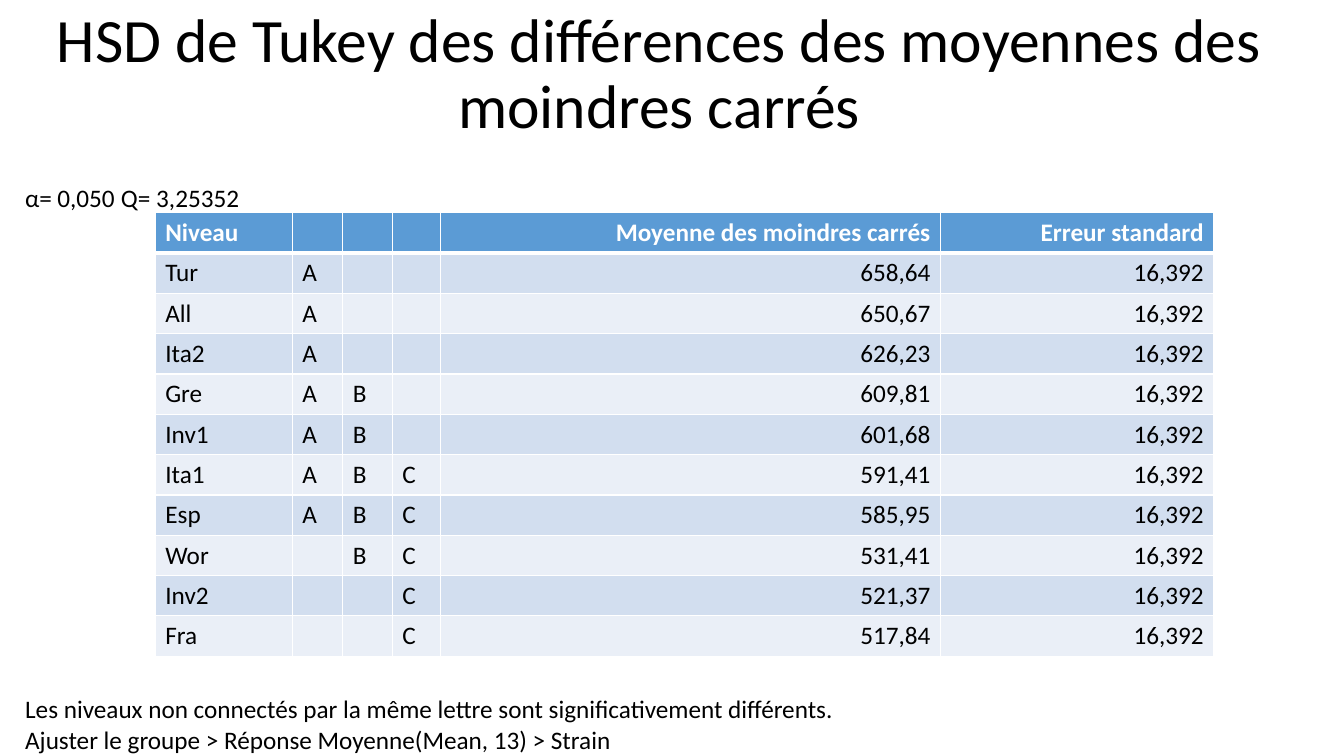
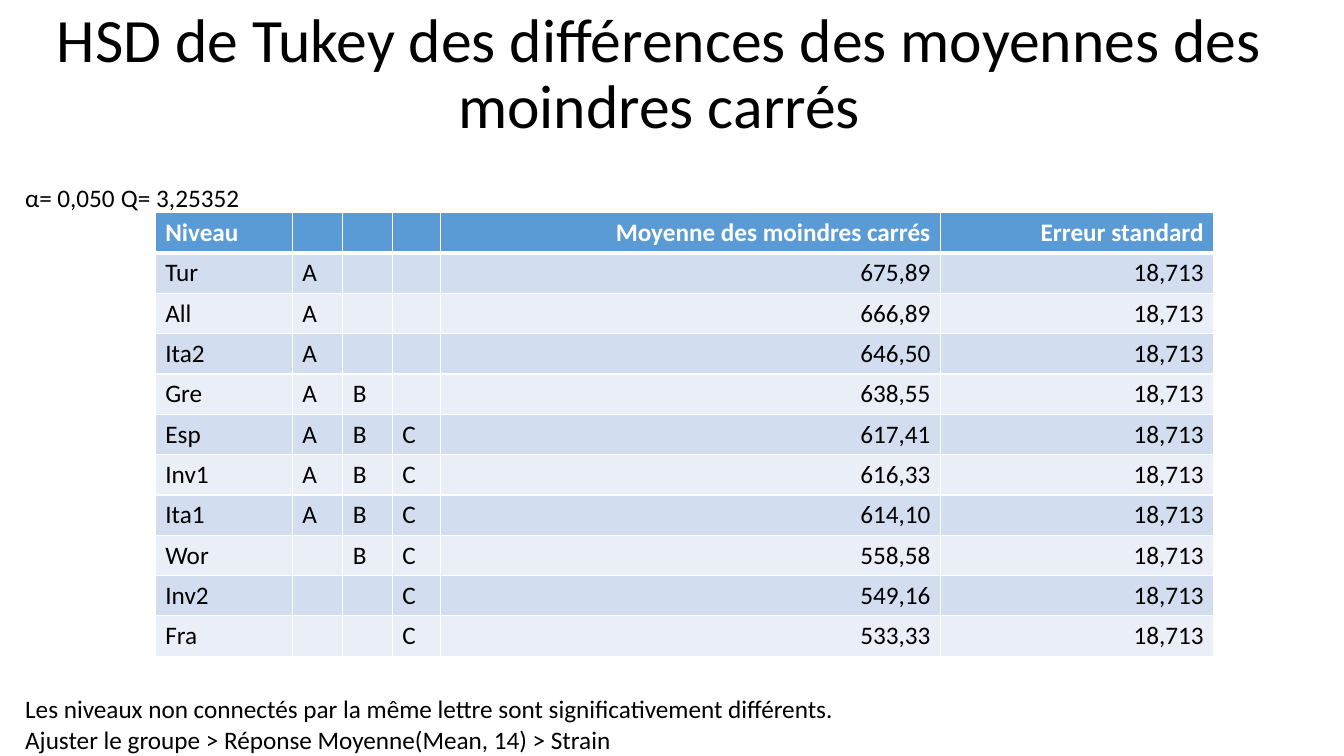
from dataclasses import dataclass

from lxml.etree import SubElement
from pptx import Presentation
from pptx.dml.color import RGBColor
from pptx.enum.text import MSO_ANCHOR as Anchor, MSO_AUTO_SIZE as AutoSize, PP_ALIGN as Align
from pptx.oxml.ns import qn
from pptx.slide import Slide
from pptx.table import _Cell as Cell
from pptx.text.text import _Paragraph as Paragraph
from pptx.util import Inches, Pt

# Shared style
FONT = "Calibri"
BLACK = RGBColor(0x00, 0x00, 0x00)
WHITE = RGBColor(0xFF, 0xFF, 0xFF)
HEADER_BLUE = RGBColor(0x5B, 0x9B, 0xD5)
BAND_DARK = RGBColor(0xD2, 0xDE, 0xEF)
BAND_LIGHT = RGBColor(0xEA, 0xEF, 0xF7)
TITLE_PT, BODY_PT = 44, 18

# Shared wording and layout
TITLE = "HSD de Tukey des différences des moyennes des moindres carrés"
HEADER = ("Niveau", "", "", "", "Moyenne des moindres carrés", "Erreur standard")
GROUPS = "ABC"
COL_WIDTHS = (1.36, 0.5, 0.49, 0.48, 4.96, 2.71)
FIRST_NUMBER_COL = 4
ROW_HEIGHT = 0.4
CELL_MARGIN = 0.04
LINE_HEIGHT = 0.31


@dataclass(frozen=True)
class Label:
    text: str
    left: float
    top: float
    width: float


@dataclass(frozen=True)
class Level:
    name: str
    groups: str
    mean: str


@dataclass(frozen=True)
class Analysis:
    response: str
    error: str
    levels: tuple[Level, ...]


LABELS = (
    Label("α=", 0.25, 1.81, 0.3),
    Label("0,050", 0.57, 1.81, 0.6),
    Label("Q=", 1.2, 1.81, 0.33),
    Label("3,25352", 1.55, 1.81, 0.9),
    Label("Les niveaux non connectés par la même lettre sont significativement différents.",
          0.25, 6.88, 8.2),
)

ANALYSES = (
    Analysis("Mean, 13", "16,392", (
        Level("Tur", "A", "658,64"),
        Level("All", "A", "650,67"),
        Level("Ita2", "A", "626,23"),
        Level("Gre", "AB", "609,81"),
        Level("Inv1", "AB", "601,68"),
        Level("Ita1", "ABC", "591,41"),
        Level("Esp", "ABC", "585,95"),
        Level("Wor", "BC", "531,41"),
        Level("Inv2", "C", "521,37"),
        Level("Fra", "C", "517,84"),
    )),
    Analysis("Mean, 14", "18,713", (
        Level("Tur", "A", "675,89"),
        Level("All", "A", "666,89"),
        Level("Ita2", "A", "646,50"),
        Level("Gre", "AB", "638,55"),
        Level("Esp", "ABC", "617,41"),
        Level("Inv1", "ABC", "616,33"),
        Level("Ita1", "ABC", "614,10"),
        Level("Wor", "BC", "558,58"),
        Level("Inv2", "C", "549,16"),
        Level("Fra", "C", "533,33"),
    )),
)


def format_runs(p: Paragraph, size: int, color: RGBColor, bold: bool = False) -> None:
    for r in p.runs:
        r.font.name = FONT
        r.font.size = Pt(size)
        r.font.bold = bold
        r.font.color.rgb = color


def add_title(slide: Slide) -> None:
    sp = slide.shapes.title
    sp.left, sp.top, sp.width, sp.height = 0, 0, Inches(13.08), Inches(1.5)
    tf = sp.text_frame
    tf.text = TITLE
    tf.word_wrap = True
    tf.auto_size = AutoSize.NONE
    tf.vertical_anchor = Anchor.MIDDLE
    p = tf.paragraphs[0]
    p.alignment = Align.CENTER
    p.line_spacing = 0.9
    format_runs(p, TITLE_PT, BLACK)


def add_label(slide: Slide, label: Label) -> None:
    sp = slide.shapes.add_textbox(Inches(label.left), Inches(label.top),
                                  Inches(label.width), Inches(LINE_HEIGHT))
    tf = sp.text_frame
    tf.margin_left = tf.margin_top = tf.margin_right = tf.margin_bottom = 0
    tf.word_wrap = False
    tf.auto_size = AutoSize.NONE
    tf.text = label.text
    p = tf.paragraphs[0]
    p.alignment = Align.LEFT
    format_runs(p, BODY_PT, BLACK)


def set_borders(cell: Cell, top: int, bottom: int) -> None:
    """White borders; widths in points, with 1 pt at the sides."""
    tc_pr = cell._tc.get_or_add_tcPr()
    for tag, width in (("a:lnL", 1), ("a:lnR", 1), ("a:lnT", top), ("a:lnB", bottom)):
        ln = SubElement(tc_pr, qn(tag), w=str(Pt(width)))
        SubElement(SubElement(ln, qn("a:solidFill")), qn("a:srgbClr"), val=str(WHITE))


def add_means_table(slide: Slide, analysis: Analysis) -> None:
    rows = [HEADER]
    for level in analysis.levels:
        letters = [g if g in level.groups else "" for g in GROUPS]
        rows.append((level.name, *letters, level.mean, analysis.error))

    table = slide.shapes.add_table(
        len(rows), len(HEADER), Inches(1.54), Inches(2.11),
        Inches(sum(COL_WIDTHS)), Inches(ROW_HEIGHT * len(rows))).table
    for column, width in zip(table.columns, COL_WIDTHS):
        column.width = Inches(width)

    for i, row in enumerate(rows):
        is_header = i == 0
        band = HEADER_BLUE if is_header else BAND_DARK if i % 2 else BAND_LIGHT
        for j, text in enumerate(row):
            cell = table.cell(i, j)
            set_borders(cell, top=3 if i == 1 else 1, bottom=3 if is_header else 1)
            cell.margin_top = cell.margin_bottom = Inches(CELL_MARGIN)
            cell.vertical_anchor = Anchor.MIDDLE
            cell.fill.solid()
            cell.fill.fore_color.rgb = band
            if not text:
                continue
            cell.text_frame.text = text
            p = cell.text_frame.paragraphs[0]
            p.alignment = Align.RIGHT if j >= FIRST_NUMBER_COL else Align.LEFT
            format_runs(p, BODY_PT, WHITE if is_header else BLACK, is_header)


def main() -> None:
    prs = Presentation()
    prs.slide_width, prs.slide_height = Inches(13.33), Inches(7.5)
    title_only = prs.slide_layouts[5]
    for analysis in ANALYSES:
        slide = prs.slides.add_slide(title_only)
        add_title(slide)
        add_means_table(slide, analysis)
        source = f"Ajuster le groupe > Réponse Moyenne({analysis.response}) > Strain"
        for label in (*LABELS, Label(source, 0.25, 7.19, 6)):
            add_label(slide, label)
    prs.save("out.pptx")


if __name__ == "__main__":
    main()
